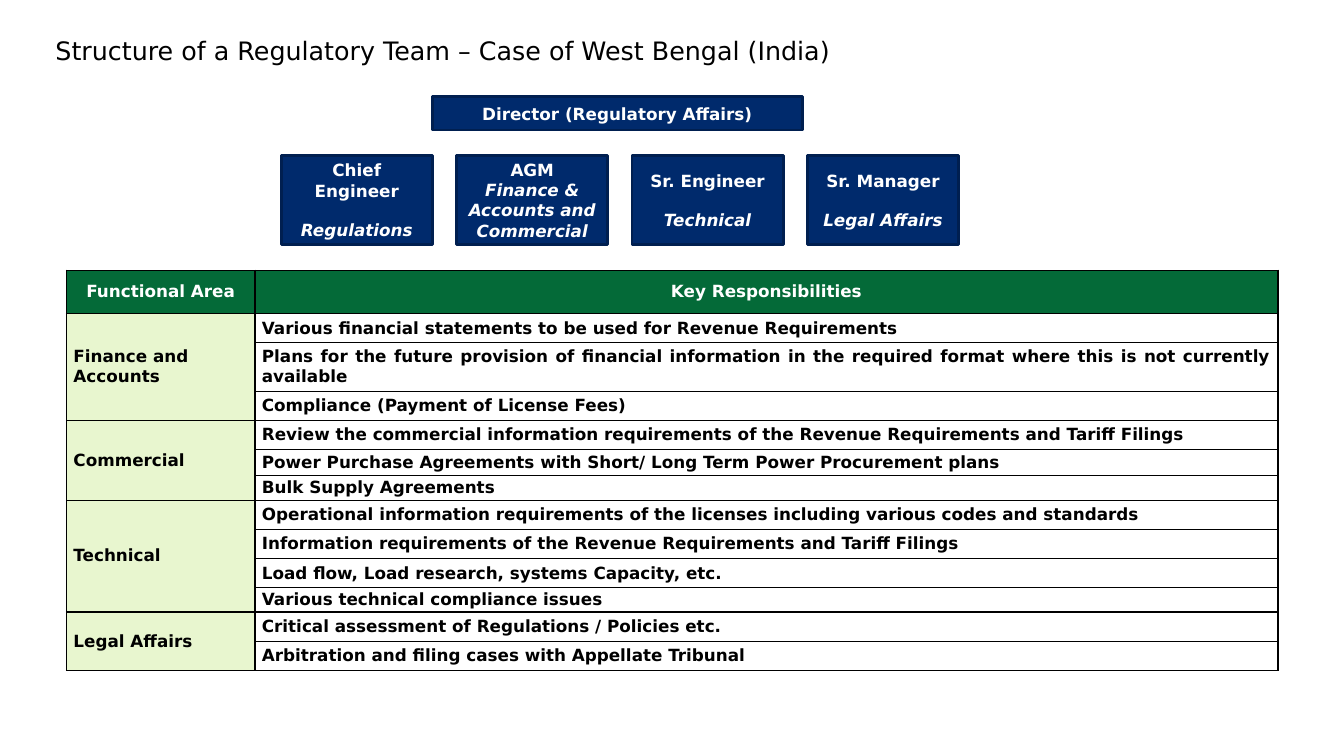
"""Build a slide on the structure of a regulatory team."""
from lxml import etree
from pptx import Presentation
from pptx import util as u
from pptx.dml.color import RGBColor
from pptx.enum import shapes, text
from pptx.oxml.ns import qn

FONT = "DejaVu Sans"
NAVY, NAVY_EDGE = "002A6C", "001F50"
GREEN, PALE_GREEN = "046A38", "E8F6CF"
BLACK, WHITE = "000000", "FFFFFF"
ALIGN = text.PP_ALIGN
MIDDLE = text.MSO_ANCHOR.MIDDLE

POSTS = [
    ("Chief Engineer", "Regulations", 14),
    ("AGM", "Finance & Accounts and Commercial", 0),
    ("Sr. Engineer", "Technical", 14),
    ("Sr. Manager", "Legal Affairs", 14),
]
AREAS = {
    "Finance and Accounts": [
        ("Various financial statements to be used for Revenue Requirements", 20.9),
        ("Plans for the future provision of financial information in the required "
         "format where this is not currently available", 34.6),
        ("Compliance (Payment of License Fees)", 20.9),
    ],
    "Commercial": [
        ("Review the commercial information requirements of the Revenue "
         "Requirements and Tariff Filings", 20.9),
        ("Power Purchase Agreements with Short/ Long Term Power Procurement plans", 18.7),
        ("Bulk Supply Agreements", 17.3),
    ],
    "Technical": [
        ("Operational information requirements of the licenses including various "
         "codes and standards", 20.9),
        ("Information requirements of the Revenue Requirements and Tariff Filings", 20.9),
        ("Load flow, Load research, systems Capacity, etc.", 20.9),
        ("Various technical compliance issues", 17.3),
    ],
    "Legal Affairs": [
        ("Critical assessment of Regulations / Policies etc.", 20.9),
        ("Arbitration and filing cases with Appellate Tribunal", 20.9),
    ],
}


def color(value):
    """Turn a hex string into a colour."""
    return RGBColor.from_string(value)


def apply(target, values):
    """Set every attribute named in a dict of format values."""
    for name, value in values.items():
        setattr(target, name, value)


def write(para, words, ink, align, size=12, bold=True, italic=False):
    """Put one formatted span of words in a paragraph."""
    para.alignment = align
    span = para.add_run()
    span.text = words
    apply(span.font, {"name": FONT, "size": u.Pt(size), "bold": bold, "italic": italic})
    span.font.color.rgb = color(ink)


def add_title(page, words):
    """Place the title at the top left of the page."""
    title = page.shapes.title
    apply(title, {"left": u.Pt(39.6), "top": u.Pt(25.2),
                  "width": u.Pt(881.3), "height": u.Pt(54.7)})
    frame = title.text_frame
    apply(frame, {"margin_left": 0, "margin_right": 0, "margin_top": 0,
                  "margin_bottom": 0, "word_wrap": True,
                  "auto_size": text.MSO_AUTO_SIZE.NONE,
                  "vertical_anchor": text.MSO_ANCHOR.TOP})
    write(frame.paragraphs[0], words, BLACK, ALIGN.LEFT, size=18.1, bold=False)


def add_post(page, left, top, width, height, post, unit="", gap=0):
    """Draw a navy box with a post and, below it, the unit in italics."""
    box = page.shapes.add_shape(shapes.MSO_SHAPE.RECTANGLE,
                                u.Pt(left), u.Pt(top), u.Pt(width), u.Pt(height))
    box.shadow.inherit = False
    box.fill.solid()
    box.fill.fore_color.rgb = color(NAVY)
    box.line.color.rgb = color(NAVY_EDGE)
    box.line.width = u.Pt(2)
    frame = box.text_frame
    apply(frame, {"word_wrap": True, "vertical_anchor": MIDDLE})
    write(frame.paragraphs[0], post, WHITE, ALIGN.CENTER)
    if unit:
        para = frame.add_paragraph()
        para.space_before = u.Pt(gap)
        write(para, unit, WHITE, ALIGN.CENTER, italic=True)


def add_borders(cell):
    """Give a cell a thin black line on all four sides."""
    properties = cell._tc.get_or_add_tcPr()
    for side in ("a:lnL", "a:lnR", "a:lnT", "a:lnB"):
        line = etree.SubElement(properties, qn(side), w=str(u.Pt(1)))
        fill = etree.SubElement(line, qn("a:solidFill"))
        etree.SubElement(fill, qn("a:srgbClr"), val=BLACK)


def format_cell(cell, fill):
    """Set the margins, borders and fill of a cell."""
    apply(cell, {"margin_left": u.Pt(5), "margin_right": u.Pt(5), "margin_top": 0,
                 "margin_bottom": 0, "vertical_anchor": MIDDLE})
    add_borders(cell)
    if fill:
        cell.fill.solid()
        cell.fill.fore_color.rgb = color(fill)
    else:
        cell.fill.background()


def add_duties(page, left, top, widths):
    """Add the table of functional areas and their responsibilities."""
    heights = [31] + [height for duties in AREAS.values() for _, height in duties]
    table = page.shapes.add_table(len(heights), 2, u.Pt(left), u.Pt(top),
                                  u.Pt(sum(widths)), u.Pt(sum(heights))).table
    for column, width in zip(table.columns, widths):
        column.width = u.Pt(width)
    for index, height in enumerate(heights):
        table.rows[index].height = u.Pt(height)
        for column, fill in enumerate((PALE_GREEN, None)):
            format_cell(table.cell(index, column), fill if index else GREEN)
    for column, heading in enumerate(("Functional Area", "Key Responsibilities")):
        write(table.cell(0, column).text_frame.paragraphs[0], heading, WHITE, ALIGN.CENTER)
    row = 1
    for area, duties in AREAS.items():
        cell = table.cell(row, 0)
        cell.merge(table.cell(row + len(duties) - 1, 0))
        write(cell.text_frame.paragraphs[0], area, BLACK, ALIGN.LEFT)
        for duty, _ in duties:
            write(table.cell(row, 1).text_frame.paragraphs[0], duty, BLACK, ALIGN.JUSTIFY)
            row += 1


def main():
    """Build and save the deck."""
    deck = Presentation()
    apply(deck, {"slide_width": u.Pt(960), "slide_height": u.Pt(540)})
    page = deck.slides.add_slide(deck.slide_layouts.get_by_name("Title Only"))
    add_title(page, "Structure of a Regulatory Team – Case of West Bengal (India)")
    add_duties(page, 47.5, 193, (134.6, 730.8))
    add_post(page, 308.9, 69.1, 264.2, 23.8, "Director (Regulatory Affairs)")
    for index, (post, unit, gap) in enumerate(POSTS):
        add_post(page, 200.9 + 125.3 * index, 111.3, 108, 63.4, post, unit, gap)
    deck.save("out.pptx")


if __name__ == "__main__":
    main()
